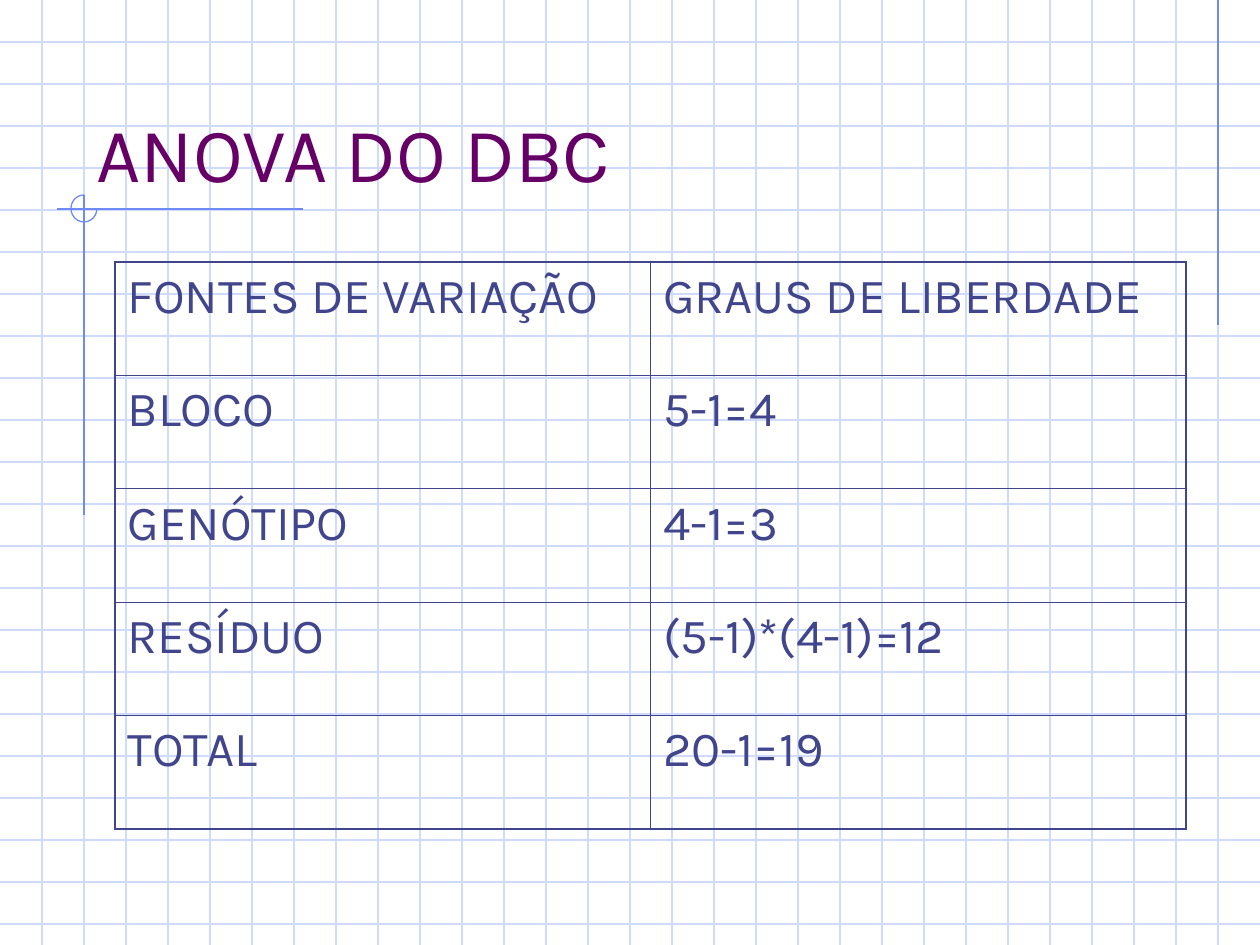
"""Build a slide with the ANOVA table of a randomised block design on a grid."""
import lxml.etree
import pptx
import pptx.dml.color
import pptx.enum.shapes
import pptx.enum.text
import pptx.oxml
import pptx.oxml.ns
import pptx.util

HUE = {"grid": "CFDBFD", "mark": "6F89F7", "title": "660066", "ink": "40458C"}
FONT = "Karla"
WIDE, HIGH, STEP = 1260, 945, 42
ROWS = [
    ("FONTES DE VARIAÇÃO", "GRAUS DE LIBERDADE"),
    ("BLOCO", "5-1=4"),
    ("GENÓTIPO", "4-1=3"),
    ("RESÍDUO", "(5-1)*(4-1)=12"),
    ("TOTAL", "20-1=19"),
]


def px(num):
    return round(num * 914400 / 126)


def rule(x1, y1, x2, y2, hue):
    line = slide.shapes.add_connector(
        pptx.enum.shapes.MSO_CONNECTOR.STRAIGHT, px(x1), px(y1), px(x2), px(y2))
    line.line.color.rgb = pptx.dml.color.RGBColor.from_string(HUE[hue])
    line.line.width = pptx.util.Pt(0.75)
    lxml.etree.SubElement(line._element.spPr, pptx.oxml.ns.qn("a:effectLst"))


deck = pptx.Presentation()
deck.slide_width, deck.slide_height = px(WIDE), px(HIGH)
slide = deck.slides.add_slide(deck.slide_layouts[6])

for y in range(STEP, HIGH, STEP):
    rule(0, y, WIDE, y, "grid")
for x in range(STEP, WIDE, STEP):
    rule(x, 0, x, HIGH, "grid")

rule(1218, 0, 1218, 325, "mark")
rule(303, 209, 57, 209, "mark")
rule(84, 195, 84, 515, "mark")

arc = slide.shapes.add_shape(
    pptx.enum.shapes.MSO_SHAPE.ARC, px(71), px(195), px(26), px(27))
arc.adjustments[0] = 0
arc.adjustments[1] = 162
arc.shadow.inherit = False
arc.fill.background()
arc.line.color.rgb = pptx.dml.color.RGBColor.from_string(HUE["mark"])
arc.line.width = pptx.util.Pt(0.75)

box = slide.shapes.add_textbox(px(84), px(42), px(1071), px(157))
frame = box.text_frame
frame.word_wrap = True
frame.vertical_anchor = pptx.enum.text.MSO_ANCHOR.BOTTOM
frame.margin_bottom = px(1)
para = frame.paragraphs[0]
para.text = "ANOVA DO DBC"
para.font.name = FONT
para.font.size = pptx.util.Pt(44)
para.font.color.rgb = pptx.dml.color.RGBColor.from_string(HUE["title"])

table = slide.shapes.add_table(
    len(ROWS), 2, px(115), px(262), px(1071), px(567)).table
table.first_row = False
table.horz_banding = False
for r, row in enumerate(ROWS):
    for c, text in enumerate(row):
        cell = table.cell(r, c)
        cell.fill.background()
        para = cell.text_frame.paragraphs[0]
        para.text = text
        para.font.name = FONT
        para.font.size = pptx.util.Pt(28)
        para.font.color.rgb = pptx.dml.color.RGBColor.from_string(HUE["ink"])
        edges = {"L": c == 0, "R": c == 1, "T": r == 0, "B": r == len(ROWS) - 1}
        props = cell._tc.get_or_add_tcPr()
        for i, (side, outer) in enumerate(edges.items()):
            width = pptx.util.Pt(1.08 if outer else 0.45)
            props.insert(i, pptx.oxml.parse_xml(
                f'<a:ln{side} {pptx.oxml.ns.nsdecls("a")} w="{width}"><a:solidFill>'
                f'<a:srgbClr val="{HUE["ink"]}"/></a:solidFill></a:ln{side}>'))

deck.save("out.pptx")
